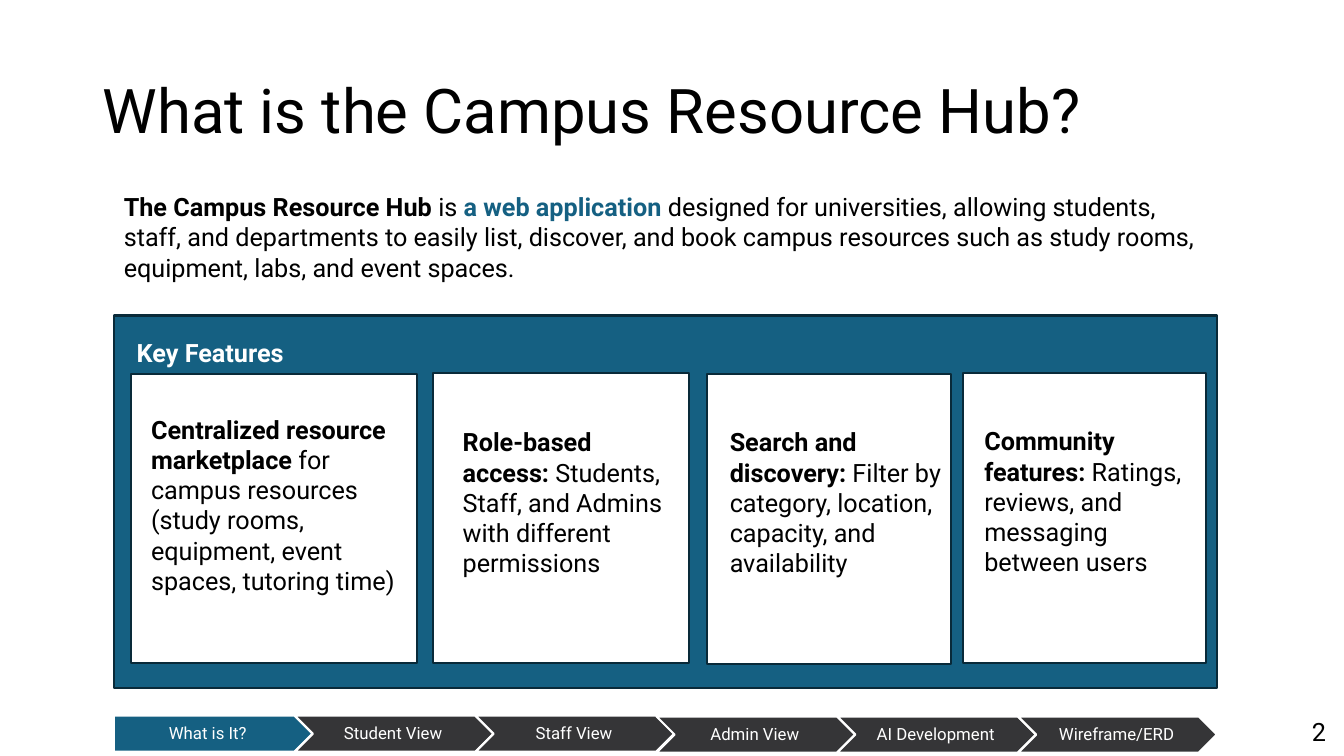
from pptx import Presentation
from pptx.dml.color import RGBColor
from pptx.enum.shapes import MSO_SHAPE as Shape
from pptx.enum.text import MSO_ANCHOR as Anchor, MSO_AUTO_SIZE as AutoSize, PP_ALIGN as Align
from pptx.util import Inches, Pt

BLACK = RGBColor(0x00, 0x00, 0x00)
WHITE = RGBColor(0xFF, 0xFF, 0xFF)
TEAL = RGBColor(0x15, 0x60, 0x82)
NAVY = RGBColor(0x09, 0x2A, 0x39)
CHARCOAL = RGBColor(0x35, 0x35, 0x37)

COLUMNS, ROWS = 160, 90
MARGIN, CONTENT_WIDTH = 13.56, 131.28

STEPS = ["What is It?", "Student View", "Staff View", "Admin View", "AI Development", "Wireframe/ERD"]
STEP_WIDTH, STEP_PITCH = 23.64, 21.53

FEATURES = [
    ((15.6, 44.5, 34, 34.4), (16.8, 48.7, 32.8, 26.6),
     "Centralized resource marketplace",
     " for campus resources (study rooms, equipment, event spaces, tutoring time)"),
    ((51.5, 44.4, 30.5, 34.5), (53.9, 50.2, 27.5, 23),
     "Role-based access:",
     " Students, Staff, and Admins with different permissions"),
    ((84.2, 44.5, 29, 34.5), (85.7, 50.2, 27.7, 23),
     "Search and discovery:",
     " Filter by category, location, capacity, and availability"),
    ((114.6, 44.4, 29, 34.5), (116, 50.1, 27.7, 23),
     "Community features:",
     " Ratings, reviews, and messaging between users"),
]


class SlideBuilder:
    font = "Roboto"
    body_size = 18
    line_width = Pt(1.5)

    def __init__(self, deck):
        self.column = deck.slide_width / COLUMNS
        self.row = deck.slide_height / ROWS
        self.page = deck.slides.add_slide(deck.slide_layouts[5])

    def place(self, left, top, width, height):
        return (round(left * self.column), round(top * self.row),
                round(width * self.column), round(height * self.row))

    def style(self, span, size, color, bold=False):
        span.font.name = self.font
        span.font.size = Pt(size)
        span.font.color.rgb = color
        span.font.bold = bold

    def title(self, area, text):
        box = self.page.shapes.title
        box.left, box.top, box.width, box.height = self.place(*area)
        frame = box.text_frame
        frame.text = text
        frame.auto_size = AutoSize.NONE
        frame.vertical_anchor = Anchor.MIDDLE
        para = frame.paragraphs[0]
        para.alignment = Align.LEFT
        para.line_spacing = 0.9
        self.style(para.runs[0], 44, BLACK)

    def text(self, area, *parts):
        frame = self.page.shapes.add_textbox(*self.place(*area)).text_frame
        frame.word_wrap = True
        frame.auto_size = AutoSize.SHAPE_TO_FIT_TEXT
        para = frame.paragraphs[0]
        for words, color, bold in parts:
            span = para.add_run()
            span.text = words
            self.style(span, self.body_size, color, bold)

    def shape(self, area, fill, line, preset=Shape.RECTANGLE):
        box = self.page.shapes.add_shape(preset, *self.place(*area))
        box.shadow.inherit = False
        box.fill.solid()
        box.fill.fore_color.rgb = fill
        box.line.color.rgb = line
        box.line.width = self.line_width
        return box

    def step(self, area, label, active):
        preset, fill = (Shape.PENTAGON, TEAL) if active else (Shape.CHEVRON, CHARCOAL)
        frame = self.shape(area, fill, WHITE, preset).text_frame
        frame.text = label
        frame.word_wrap = True
        frame.vertical_anchor = Anchor.MIDDLE
        frame.margin_left, frame.margin_right = Inches(0.08), Inches(0.1)
        frame.margin_top = frame.margin_bottom = Inches(0.04)
        para = frame.paragraphs[0]
        para.alignment = Align.CENTER
        para.line_spacing = 0.9
        para.space_after = Pt(4.2)
        self.style(para.runs[0], 12, WHITE)


def main():
    deck = Presentation()
    deck.slide_width, deck.slide_height = Inches(13.33), Inches(7.5)
    slide = SlideBuilder(deck)

    slide.title((11, 4.8, 138, 17.4), "What is the Campus Resource Hub?")
    for index, label in enumerate(STEPS):
        top = 85.2 if index < 3 else 85.3
        slide.step((MARGIN + index * STEP_PITCH, top, STEP_WIDTH, 4.3), label, index == 0)

    slide.text(
        (MARGIN, 22.2, CONTENT_WIDTH, 12.1),
        ("The Campus Resource Hub", BLACK, True),
        (" is ", BLACK, False),
        ("a web application ", TEAL, True),
        ("designed for universities, allowing students, staff, and departments to easily list, "
         "discover, and book campus resources such as study rooms, equipment, labs, and event spaces.",
         BLACK, False),
    )

    slide.shape((MARGIN, 37.56, CONTENT_WIDTH, 44.3), TEAL, NAVY)
    slide.text((15.1, 39.6, 28.9, 4.8), ("Key Features", WHITE, True))
    for card, words, lead, detail in FEATURES:
        slide.shape(card, WHITE, NAVY)
        slide.text(words, (lead, BLACK, True), (detail, BLACK, False))

    slide.text((155, 84.7, 5, 4.8), ("2", BLACK, False))
    deck.save("out.pptx")


if __name__ == "__main__":
    main()
